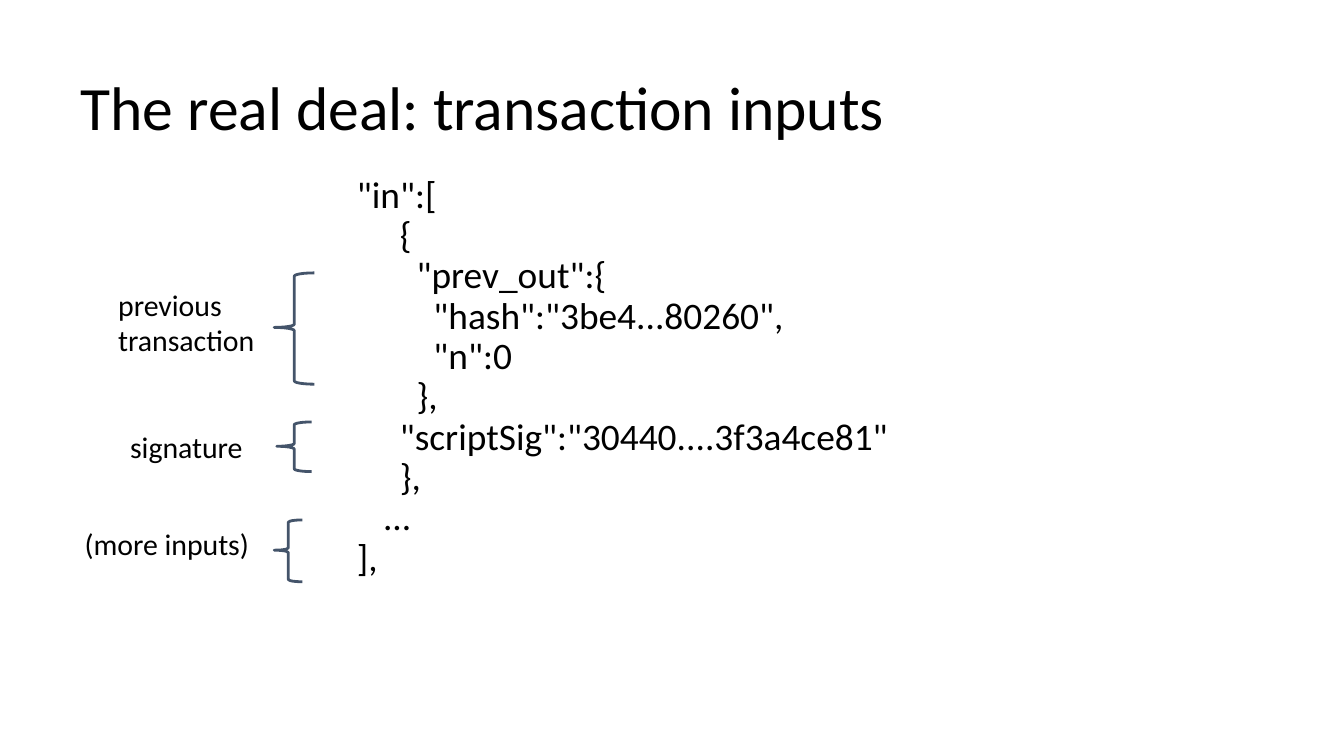
from pptx import Presentation
from pptx.dml.color import RGBColor
from pptx.enum.shapes import MSO_SHAPE
from pptx.enum.text import MSO_ANCHOR, MSO_AUTO_SIZE, PP_ALIGN
from pptx.oxml.xmlchemy import OxmlElement
from pptx.util import Pt

COLORS = {"text": "000000", "brace": "44546A"}
BASE_INDENT = 27
NESTED_INDENT = 32
INDENT_STEP = 9

CODE_LINES = [
    (0, '"in":['),
    (2, "{"),
    (3, '"prev_out":{'),
    (4, '"hash":"3be4...80260",'),
    (4, '"n":0'),
    (3, "},"),
    (2, '"scriptSig":"30440....3f3a4ce81"'),
    (2, "},"),
    (1, "..."),
    (0, "],"),
]

BRACES = [
    (146.9, 146.2, 21.6, 59.6),
    (148.3, 226.1, 18.7, 26.6),
    (146.9, 278.6, 15.1, 33.1),
]

LABELS = [
    (["signature"], (62.6, 222.5, 92.2, 33.1)),
    (["previous", "transaction"], (56.2, 146.2, 92.2, 45.4)),
    (["(more inputs)"], (38.2, 274.3, 104.4, 41)),
]


class SlideBuilder:
    font = "Calibri"
    inset = Pt(7.2)

    def __init__(self, presentation):
        self.slide = presentation.slides.add_slide(presentation.slide_layouts[1])

    def place(self, shape, box):
        shape.left, shape.top, shape.width, shape.height = map(Pt, box)

    def set_lines(self, shape, lines, size, anchor=MSO_ANCHOR.TOP, spacing=1.0):
        frame = shape.text_frame
        frame.text = "\n".join(lines)
        frame.word_wrap = True
        frame.auto_size = MSO_AUTO_SIZE.NONE
        frame.vertical_anchor = anchor
        frame.margin_left = frame.margin_right = self.inset
        frame.margin_top = frame.margin_bottom = self.inset
        for paragraph in frame.paragraphs:
            paragraph.alignment = PP_ALIGN.LEFT
            paragraph.line_spacing = spacing
            paragraph.space_before = paragraph.space_after = Pt(0)
            for run in paragraph.runs:
                run.font.name = self.font
                run.font.size = Pt(size)
                run.font.color.rgb = RGBColor.from_string(COLORS["text"])

    def title(self, text, box):
        shape = self.slide.shapes.title
        self.place(shape, box)
        self.set_lines(shape, [text], 33, MSO_ANCHOR.BOTTOM, 0.9)

    def code(self, lines, box):
        shape = self.slide.placeholders[1]
        self.place(shape, box)
        self.set_lines(shape, [text for level, text in lines], 20, spacing=0.9)
        for (level, text), paragraph in zip(lines, shape.text_frame.paragraphs):
            start = NESTED_INDENT if level else BASE_INDENT
            properties = paragraph._p.get_or_add_pPr()
            properties.set("marL", str(Pt(start + level * INDENT_STEP)))
            properties.set("indent", "0")
            properties.append(OxmlElement("a:buNone"))

    def brace(self, box):
        shape = self.slide.shapes.add_shape(MSO_SHAPE.LEFT_BRACE, *map(Pt, box))
        shape.shadow.inherit = False
        shape.adjustments[0] = 0.08
        shape.adjustments[1] = 0.49
        shape.fill.background()
        shape.line.color.rgb = RGBColor.from_string(COLORS["brace"])
        shape.line.width = Pt(1.5)

    def label(self, lines, box):
        self.set_lines(self.slide.shapes.add_textbox(*map(Pt, box)), lines, 16)


def main():
    presentation = Presentation()
    presentation.slide_width = Pt(720)
    presentation.slide_height = Pt(405)
    builder = SlideBuilder(presentation)
    builder.title("The real deal: transaction inputs", (36, 16.6, 648, 67.7))
    builder.code(CODE_LINES, (157, 87.1, 648, 324.7))
    for box in BRACES:
        builder.brace(box)
    for lines, box in LABELS:
        builder.label(lines, box)
    presentation.save("out.pptx")


if __name__ == "__main__":
    main()
